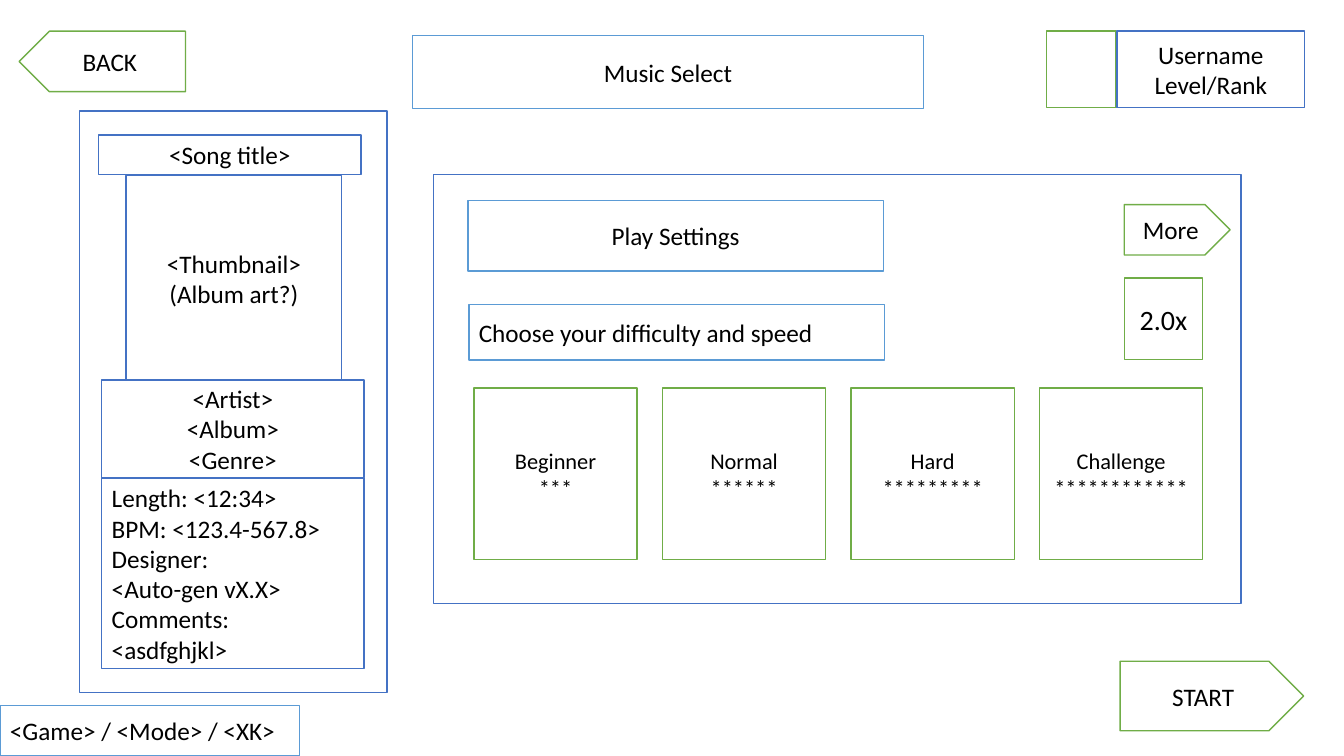
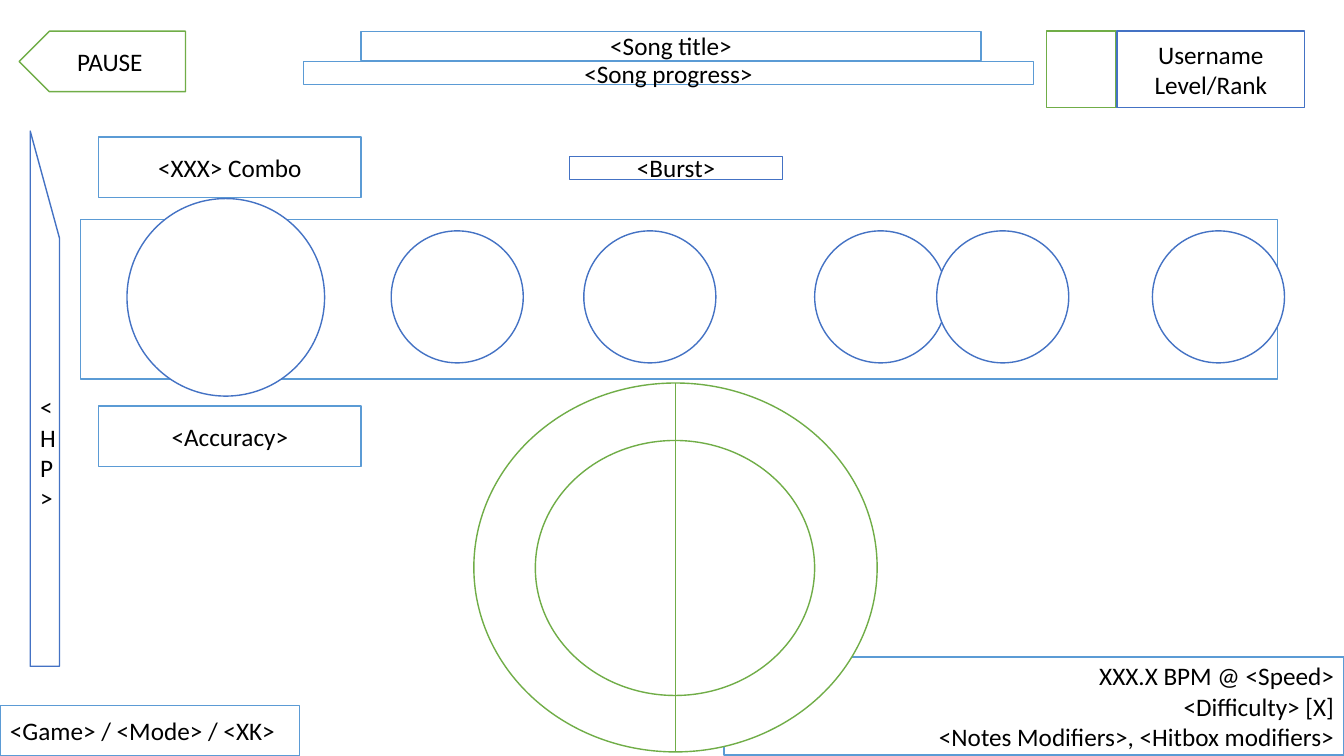
from lxml import etree
from pptx import Presentation
from pptx import util as u
from pptx.dml.color import RGBColor
from pptx.enum import shapes, text
from pptx.oxml.ns import qn

PX = u.Inches(1) // 100
WIDTH, HEIGHT = 1333, 750
GREEN, BLUE, SKY = "70AD47", "4472C4", "5B9BD5"
WHITE, BLACK = "FFFFFF", "000000"
RECT = shapes.MSO_SHAPE.RECTANGLE
ARROW = shapes.MSO_SHAPE.PENTAGON
OVAL = shapes.MSO_SHAPE.OVAL
LEFT, CENTER, RIGHT = text.PP_ALIGN.LEFT, text.PP_ALIGN.CENTER, text.PP_ALIGN.RIGHT
MIDDLE, TOP = text.MSO_ANCHOR.MIDDLE, text.MSO_ANCHOR.TOP


def paint(color_format, hex_color):
    color_format.rgb = RGBColor.from_string(hex_color)


def add_box(parent, place, outline, paragraphs=(), kind=RECT, align=CENTER,
            size=18, anchor=MIDDLE, filled=True, flipped=False):
    """Add an outlined shape; place is left, top, width, height in px."""
    shape = parent.shapes.add_shape(kind, *(n * PX for n in place))
    shape.shadow.inherit = False
    if filled:
        shape.fill.solid()
        paint(shape.fill.fore_color, WHITE)
    else:
        shape.fill.background()
    paint(shape.line.color, outline)
    shape.line.width = u.Pt(1)
    if flipped:
        shape._element.spPr.find(qn("a:xfrm")).set("flipH", "1")
    frame = shape.text_frame
    frame.word_wrap = True
    frame.vertical_anchor = anchor
    for number, wording in enumerate(paragraphs):
        paragraph = frame.add_paragraph() if number else frame.paragraphs[0]
        paragraph.alignment = align
        for row, line in enumerate(wording.split("\n")):
            if row:
                paragraph.add_line_break()
            run = paragraph.add_run()
            run.text = line
            run.font.name = "Calibri"
            run.font.size = u.Pt(size)
            paint(run.font.color, BLACK)


prs = Presentation()
prs.slide_width, prs.slide_height = WIDTH * PX, HEIGHT * PX
select, play = (prs.slides.add_slide(prs.slide_layouts[6]) for _ in range(2))

# Parts on both screens
for screen, exit_label in ((select, "BACK"), (play, "PAUSE")):
    add_box(screen, (19, 31, 165, 60), GREEN, [exit_label], ARROW, flipped=True)
    add_box(screen, (1038, 31, 69, 76), GREEN)
    add_box(screen, (1108, 31, 186, 76), BLUE, ["Username\nLevel/Rank"])
    add_box(screen, (0, 700, 297, 50), SKY, ["<Game> / <Mode> / <XK>"], align=LEFT)

# Music select: play settings
add_box(select, (409, 35, 507, 73), SKY, ["Music Select"])
add_box(select, (1111, 656, 182, 69), GREEN, ["START"], ARROW)
add_box(select, (430, 173, 801, 426), BLUE)
add_box(select, (464, 199, 412, 70), SKY, ["Play Settings"])
add_box(select, (1115, 203, 105, 50), GREEN, ["More"], ARROW)
add_box(select, (1115, 276, 78, 81), GREEN, ["2.0x"], size=20)
add_box(select, (465, 302, 412, 55), SKY, ["Choose your difficulty and speed"], align=LEFT)
difficulties = {"Beginner": 3, "Normal": 6, "Hard": 9, "Challenge": 12}
for column, (difficulty, stars) in enumerate(difficulties.items()):
    add_box(select, (470 + 187 * column, 385, 162, 170), GREEN,
            [difficulty + "\n" + "*" * stars], size=16)

# Music select: song panel
add_box(select, (79, 110, 305, 577), BLUE)
add_box(select, (98, 134, 260, 39), BLUE, ["<Song title>"])
add_box(select, (125, 174, 214, 204), BLUE, ["<Thumbnail>\n(Album art?)"])
details = ["Length: <12:34>", "BPM: <123.4-567.8>",
           "Designer:\n<Auto-gen vX.X>", "Comments:\n<asdfghjkl>"]
add_box(select, (101, 474, 260, 189), BLUE, details, align=LEFT, anchor=TOP)
add_box(select, (101, 377, 260, 97), BLUE, ["<Artist>\n<Album>\n<Genre>"])

# Gameplay: status displays
add_box(play, (718, 652, 615, 97), SKY,
        ["XXX.X BPM @ <Speed>\n<Difficulty> [X]\n<Notes Modifiers>, <Hitbox modifiers>"],
        align=RIGHT)
for place, outline, label in (
    ((358, 31, 615, 29), SKY, "<Song title>"),
    ((301, 61, 724, 23), SKY, "<Song progress>"),
    ((98, 136, 260, 60), SKY, "<XXX> Combo"),
    ((565, 155, 211, 23), BLUE, "<Burst>"),
    ((98, 403, 260, 60), SKY, "<Accuracy>"),
):
    add_box(play, place, outline, [label], filled=False)
add_box(play, (30, 130, 29, 531), BLUE, ["<HP>"],
        shapes.MSO_SHAPE.FLOWCHART_MANUAL_INPUT, filled=False, flipped=True)

# Gameplay: note lane
add_box(play, (80, 218, 1187, 158), SKY, filled=False)
add_box(play, (126, 197, 196, 196), BLUE, kind=OVAL)
for note_left in (388, 579, 808, 929, 1143):
    add_box(play, (note_left, 229, 131, 131), BLUE, kind=OVAL)

# Gameplay: drum
drum = play.shapes.add_group_shape()
add_box(drum, (470, 380, 400, 366), GREEN, kind=OVAL)
add_box(drum, (531, 437, 277, 253), GREEN, kind=OVAL)
split = drum.shapes.add_connector(shapes.MSO_CONNECTOR.STRAIGHT,
                                  670 * PX, 380 * PX, 670 * PX, 746 * PX)
paint(split.line.color, GREEN)
split.line.width = u.Pt(0.5)
etree.SubElement(split._element.spPr, qn("a:effectLst"))

prs.save("out.pptx")
